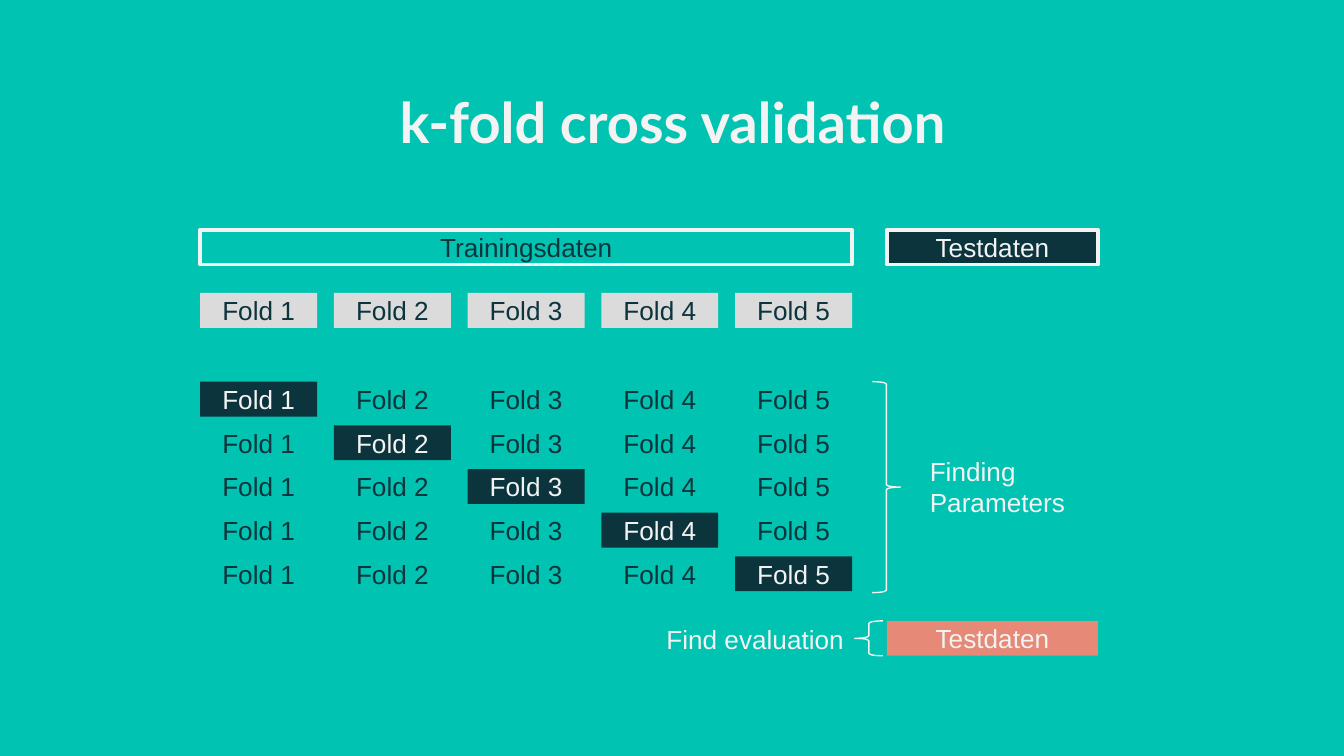
from collections import namedtuple

from pptx import Presentation
from pptx.dml.color import RGBColor
from pptx.enum.shapes import MSO_SHAPE
from pptx.enum.text import MSO_ANCHOR, PP_ALIGN
from pptx.util import Inches, Pt

TEAL = RGBColor(0x00, 0xC3, 0xB1)
NAVY = RGBColor(0x0C, 0x34, 0x3D)
WHITE = RGBColor(0xF3, 0xF3, 0xF3)
GREY = RGBColor(0xDB, 0xDB, 0xDB)
CORAL = RGBColor(0xE6, 0x89, 0x76)

Box = namedtuple("Box", "x y w h")  # inches

SLIDE_W = 10
SLIDE_H = SLIDE_W * 9 / 16
FOLDS = 5
FOLD_W = 0.87
BAR_H = 0.26
BRACE_W = 0.21
TRAIN_X, TRAIN_W = 1.49, 4.85
TEST_X, TEST_W = 6.6, 1.57


def emu(box):
    return [Inches(v) for v in box]


def style_text(tf, text, color, align, size=14, font="Arial", bold=False):
    tf.text = text
    tf.word_wrap = True
    p = tf.paragraphs[0]
    p.alignment = align
    p.font.size, p.font.name, p.font.bold = Pt(size), font, bold
    p.font.color.rgb = color


def add_title(s, box, text):
    title = s.shapes.title
    title.left, title.top, title.width, title.height = emu(box)
    tf = title.text_frame
    tf.margin_left = tf.margin_right = tf.margin_top = tf.margin_bottom = Inches(0.1)
    tf.vertical_anchor = MSO_ANCHOR.TOP
    style_text(tf, text, WHITE, PP_ALIGN.CENTER, 30, "Lato", True)


def add_bar(s, box, text, fill, color, outlined=False):
    sp = s.shapes.add_shape(MSO_SHAPE.RECTANGLE, *emu(box))
    sp.shadow.inherit = False
    sp.fill.solid()
    sp.fill.fore_color.rgb = fill
    if outlined:
        sp.line.color.rgb = WHITE
        sp.line.width = Pt(2)
    else:
        sp.line.fill.background()
    sp.text_frame.vertical_anchor = MSO_ANCHOR.MIDDLE
    style_text(sp.text_frame, text, color, PP_ALIGN.CENTER)


def add_brace(s, box, kind):
    sp = s.shapes.add_shape(kind, *emu(box))
    sp.shadow.inherit = False
    sp.fill.background()
    sp.line.color.rgb = WHITE
    sp.line.width = Pt(0.75)


def add_label(s, box, text):
    tb = s.shapes.add_textbox(*emu(box))
    style_text(tb.text_frame, text, WHITE, PP_ALIGN.LEFT)


def add_fold_row(s, box, fill, held_out=None):
    """One row of folds; the held-out fold is dark."""
    pitch = (box.w - FOLD_W) / (FOLDS - 1)
    for i in range(FOLDS):
        cell = Box(box.x + i * pitch, box.y, FOLD_W, box.h)
        dark = i == held_out
        add_bar(s, cell, f"Fold {i + 1}", NAVY if dark else fill, WHITE if dark else NAVY)


def add_fold_grid(s, box):
    """Each row holds out the next fold along the diagonal."""
    pitch = (box.h - BAR_H) / (FOLDS - 1)
    for i in range(FOLDS):
        add_fold_row(s, Box(box.x, box.y + i * pitch, box.w, BAR_H), TEAL, i)


def add_data_split(s, box):
    add_bar(s, Box(box.x, box.y, TRAIN_W, box.h), "Trainingsdaten", TEAL, NAVY, True)
    add_bar(s, Box(box.x + box.w - TEST_W, box.y, TEST_W, box.h), "Testdaten", NAVY, WHITE, True)


def add_parameter_note(s, box):
    add_brace(s, Box(box.x, box.y, BRACE_W, box.h), MSO_SHAPE.RIGHT_BRACE)
    offset, label_h = 0.33, 0.57
    label_y = box.y + (box.h - label_h) / 2
    add_label(s, Box(box.x + offset, label_y, box.w - offset, label_h), "Finding Parameters")


def add_evaluation(s, box):
    test_x = box.x + box.w - TEST_W
    add_bar(s, Box(test_x, box.y, TEST_W, box.h), "Testdaten", CORAL, WHITE)
    add_brace(s, Box(test_x - 0.24, box.y, BRACE_W, box.h), MSO_SHAPE.LEFT_BRACE)
    add_label(s, Box(box.x, box.y - 0.03, 1.84, 0.34), "Find evaluation")


def main():
    prs = Presentation()
    prs.slide_width, prs.slide_height = Inches(SLIDE_W), Inches(SLIDE_H)
    s = prs.slides.add_slide(prs.slide_layouts[5])
    s.background.fill.solid()
    s.background.fill.fore_color.rgb = TEAL

    # Title
    add_title(s, Box(0.79, 0.55, 8.43, 0.63), "k-fold cross validation")
    # Training and test split, then the training folds
    add_data_split(s, Box(TRAIN_X, 1.71, TEST_X + TEST_W - TRAIN_X, BAR_H))
    add_fold_row(s, Box(TRAIN_X, 2.18, TRAIN_W, BAR_H), GREY)
    # Cross validation rounds
    add_fold_grid(s, Box(TRAIN_X, 2.84, TRAIN_W, 1.56))
    add_parameter_note(s, Box(6.49, 2.84, 1.73, 1.57))
    # Final evaluation
    add_evaluation(s, Box(4.86, 4.62, TEST_X + TEST_W - 4.86, BAR_H))

    prs.save("out.pptx")


if __name__ == "__main__":
    main()
